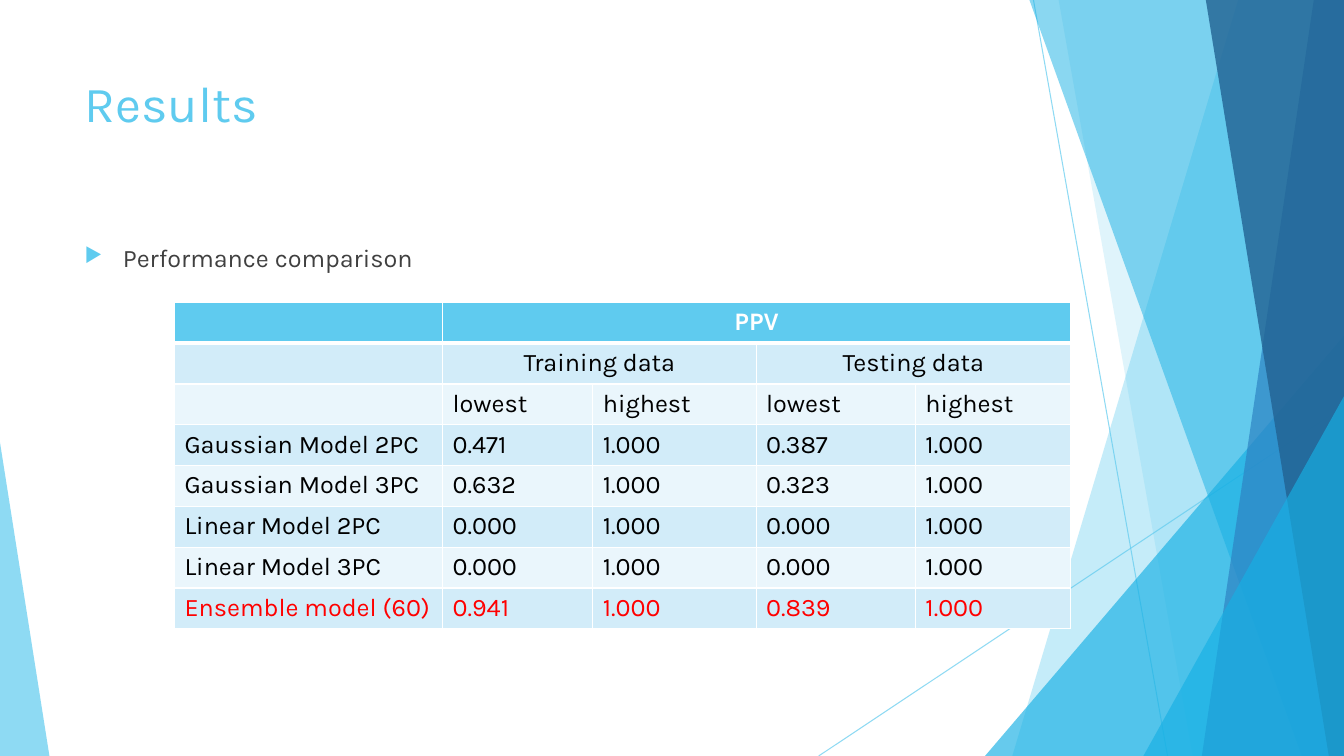
from dataclasses import dataclass

from lxml.etree import SubElement
from pptx import Presentation
from pptx.dml.color import RGBColor
from pptx.enum.shapes import MSO_CONNECTOR, MSO_SHAPE
from pptx.enum.text import PP_ALIGN
from pptx.oxml.ns import qn
from pptx.util import Inches, Pt

FONT = "Karla"
SKY, CYAN, BLUE, NAVY = "5FCBEF", "17B0E4", "2E83C3", "226292"
WHITE, BLACK, GREY, RED = "FFFFFF", "000000", "404040", "FF0000"
BANDS = ("EAF6FC", "D2ECF9")
WIDTH, HEIGHT = 13.33, 7.5


@dataclass
class Ray:
    start: tuple[float, float]
    end: tuple[float, float]


@dataclass
class Facet:
    top: float
    bottom: float
    color: str
    opacity: int


@dataclass
class Wedge:
    left: float
    top: float
    width: float
    apex: float
    color: str
    opacity: int


DECORATION = [
    Ray((10.25, 0), (11.58, HEIGHT)),
    Ray((WIDTH, 4.03), (8.12, HEIGHT)),
    Facet(12.28, 10.04, SKY, 36),
    Facet(10.5, 11.83, SKY, 20),
    Wedge(9.77, 3.33, 3.56, 1, CYAN, 66),
    Facet(10.21, 12.91, CYAN, 50),
    Facet(13.03, 11.92, BLUE, 70),
    Facet(11.96, 13.18, NAVY, 80),
    Wedge(11.34, 3.93, 1.99, 1, CYAN, 66),
    Wedge(0, 4.39, 0.49, 0, SKY, 70),
]

COLUMN_WIDTHS = (2.66, 1.49, 1.62, 1.58, 1.54)
TABLE_HEIGHT = 3.24
ROWS = [
    ("", "PPV", "", "", ""),
    ("", "Training data", "", "Testing data", ""),
    ("", "lowest", "highest", "lowest", "highest"),
    ("Gaussian Model 2PC", "0.471", "1.000", "0.387", "1.000"),
    ("Gaussian Model 3PC", "0.632", "1.000", "0.323", "1.000"),
    ("Linear Model 2PC", "0.000", "1.000", "0.000", "1.000"),
    ("Linear Model 3PC", "0.000", "1.000", "0.000", "1.000"),
    ("Ensemble model (60)", "0.941", "1.000", "0.839", "1.000"),
]
MERGES = [(0, 1, 4), (1, 1, 2), (1, 3, 4)]


def rgb(color: str) -> RGBColor:
    return RGBColor.from_string(color)


def set_opacity(shape, percent: int) -> None:
    for color in shape.element.iter(qn("a:srgbClr")):
        SubElement(color, qn("a:alpha"), val=str(percent * 1000))


def finish_panel(shape, part: Facet | Wedge) -> None:
    shape.shadow.inherit = False
    shape.fill.solid()
    shape.fill.fore_color.rgb = rgb(part.color)
    shape.line.fill.background()
    set_opacity(shape, part.opacity)


def draw_ray(page, ray: Ray) -> None:
    points = [Inches(value) for value in (*ray.start, *ray.end)]
    line = page.shapes.add_connector(MSO_CONNECTOR.STRAIGHT, *points)
    line.line.color.rgb = rgb(SKY)
    line.line.width = Pt(0.75)
    SubElement(line.element.spPr, qn("a:effectLst"))
    set_opacity(line, 70)


def draw_facet(page, facet: Facet) -> None:
    corners = [(WIDTH, 0), (WIDTH, HEIGHT), (facet.bottom, HEIGHT)]
    builder = page.shapes.build_freeform(Inches(facet.top), 0)
    builder.add_line_segments([(Inches(x), Inches(y)) for x, y in corners])
    finish_panel(builder.convert_to_shape(), facet)


def draw_wedge(page, wedge: Wedge) -> None:
    shape = page.shapes.add_shape(
        MSO_SHAPE.ISOSCELES_TRIANGLE, Inches(wedge.left), Inches(wedge.top),
        Inches(wedge.width), Inches(HEIGHT - wedge.top))
    shape.adjustments[0] = wedge.apex
    finish_panel(shape, wedge)


def add_span(para, text: str, size: float, color: str, bold: bool = False) -> None:
    span = para.add_run()
    span.text = text
    span.font.name = FONT
    span.font.size = Pt(size)
    span.font.bold = bold
    span.font.color.rgb = rgb(color)


def add_text(page, top: float, height: float, text: str, size: float, color: str):
    box = page.shapes.add_textbox(Inches(0.74), Inches(top), Inches(9.4), Inches(height))
    box.text_frame.word_wrap = True
    para = box.text_frame.paragraphs[0]
    add_span(para, text, size, color)
    return para


def add_bullet(para) -> None:
    para.space_before = Pt(10)
    properties = para._p.get_or_add_pPr()
    properties.set("marL", str(Inches(0.38)))
    properties.set("indent", str(Inches(-0.38)))
    SubElement(SubElement(properties, qn("a:buClr")), qn("a:srgbClr"), val=SKY)
    SubElement(properties, qn("a:buSzPct"), val="80000")
    SubElement(properties, qn("a:buChar"), char="▶")


def set_borders(cell, row: int) -> None:
    properties = cell._tc.get_or_add_tcPr()
    widths = {"lnL": 1, "lnR": 1, "lnT": 3 if row == 1 else 1, "lnB": 3 if row == 0 else 1}
    for side, width in widths.items():
        line = SubElement(properties, qn(f"a:{side}"), w=str(Pt(width)))
        SubElement(SubElement(line, qn("a:solidFill")), qn("a:srgbClr"), val=WHITE)


def draw_table(page) -> None:
    frame = page.shapes.add_table(
        len(ROWS), len(COLUMN_WIDTHS), Inches(1.73), Inches(3),
        Inches(sum(COLUMN_WIDTHS)), Inches(TABLE_HEIGHT))
    table = frame.table
    table.horz_banding = False
    for column, width in zip(table.columns, COLUMN_WIDTHS):
        column.width = Inches(width)
    for row, first, last in MERGES:
        table.cell(row, first).merge(table.cell(row, last))
    for row, texts in enumerate(ROWS):
        header = row == 0
        color = WHITE if header else RED if row == len(ROWS) - 1 else BLACK
        for column, text in enumerate(texts):
            cell = table.cell(row, column)
            set_borders(cell, row)
            cell.fill.solid()
            cell.fill.fore_color.rgb = rgb(SKY if header else BANDS[row % 2])
            if text:
                para = cell.text_frame.paragraphs[0]
                para.alignment = PP_ALIGN.CENTER if cell.is_merge_origin else PP_ALIGN.LEFT
                add_span(para, text, 18, color, header)


def main() -> None:
    """Build the results slide and save the deck."""
    deck = Presentation()
    deck.slide_width, deck.slide_height = Inches(WIDTH), Inches(HEIGHT)
    page = deck.slides.add_slide(deck.slide_layouts[6])
    painters = {Ray: draw_ray, Facet: draw_facet, Wedge: draw_wedge}
    for part in DECORATION:
        painters[type(part)](page, part)
    add_text(page, 0.67, 1.44, "Results", 36, SKY)
    add_bullet(add_text(page, 2.36, 4.24, "Performance comparison", 18, GREY))
    draw_table(page)
    deck.save("out.pptx")


main()
